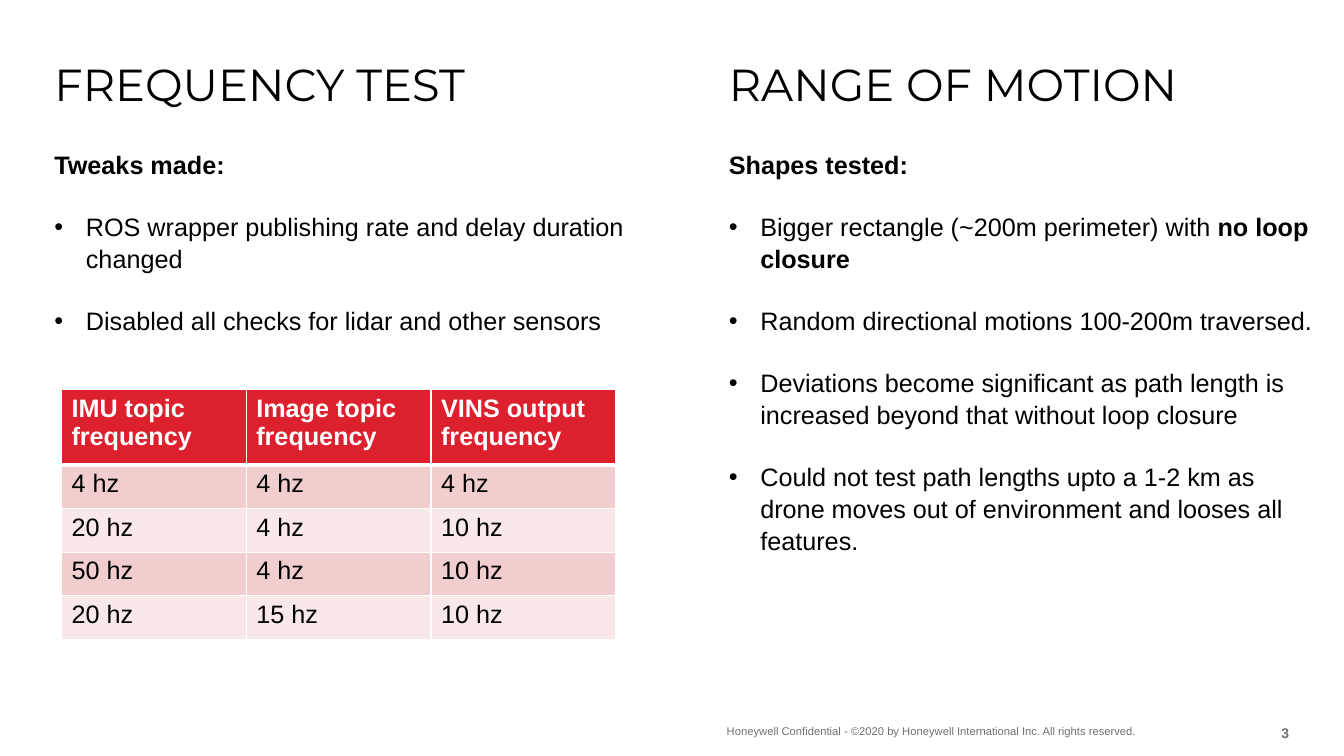
from lxml import etree
from pptx import Presentation
from pptx.dml.color import RGBColor
from pptx.enum import text
from pptx.oxml import ns
from pptx.util import Pt

COLORS = {"ink": "000000", "muted": "707070", "white": "FFFFFF",
          "header": "DC202E", "band": "F2CDCD", "light": "F9E8E8"}
BODY_SIZE = 18
LINE_SPACING = 1.05
BLANK_LINE = 21.7
BULLET_INDENT = 22.5
LEFT_X, RIGHT_X = 38.9, 520.6

TWEAKS = [
    [("ROS wrapper publishing rate and delay duration changed", False)],
    [("Disabled all checks for lidar and other sensors", False)],
]
MOTIONS = [
    [("Bigger rectangle (~200m perimeter) with ", False), ("no loop closure", True)],
    [("Random directional motions 100-200m traversed.", False)],
    [("Deviations become significant as path length is increased beyond that "
      "without loop closure", False)],
    [("Could not test path lengths upto a 1-2 km as drone moves out of environment "
      "and looses all features.", False)],
]
FREQUENCIES = [
    ("IMU topic frequency", "Image topic frequency", "VINS output frequency"),
    ("4 hz", "4 hz", "4 hz"),
    ("20 hz", "4 hz", "10 hz"),
    ("50 hz", "4 hz", "10 hz"),
    ("20 hz", "15 hz", "10 hz"),
]


def rgb(name):
    return RGBColor.from_string(COLORS[name])


def style(para, size, color="ink", bold=None, name="Arial"):
    font = para.font
    font.name, font.size, font.bold = name, Pt(size), bold
    font.color.rgb = rgb(color)


def prepare_frame(box, anchor=text.MSO_ANCHOR.TOP):
    frame = box.text_frame
    frame.margin_left = frame.margin_top = frame.margin_right = frame.margin_bottom = 0
    frame.word_wrap = True
    frame.auto_size = text.MSO_AUTO_SIZE.NONE
    frame.vertical_anchor = anchor
    return frame


def add_box(page, left, top, width, height):
    return page.shapes.add_textbox(Pt(left), Pt(top), Pt(width), Pt(height))


def write_heading(box, words):
    para = prepare_frame(box).paragraphs[0]
    para.text = words
    para.alignment = text.PP_ALIGN.LEFT
    para.line_spacing = LINE_SPACING
    style(para, 32, name="Montserrat")


def add_bullet(para):
    props = para._p.get_or_add_pPr()
    props.set("marL", str(Pt(BULLET_INDENT)))
    props.set("indent", str(-Pt(BULLET_INDENT)))
    etree.SubElement(props, ns.qn("a:buFont")).set("typeface", "Arial")
    etree.SubElement(props, ns.qn("a:buChar")).set("char", "•")


def add_points(page, left, width, height, lead, points):
    frame = prepare_frame(add_box(page, left, 105.8, width, height))
    intro = frame.paragraphs[0]
    intro.text = lead
    intro.line_spacing = LINE_SPACING
    style(intro, BODY_SIZE, bold=True)
    for point in points:
        para = frame.add_paragraph()
        para.line_spacing = LINE_SPACING
        para.space_before = Pt(BLANK_LINE)
        add_bullet(para)
        style(para, BODY_SIZE)
        for words, bold in point:
            span = para.add_run()
            span.text = words
            span.font.bold = bold


def add_footer(page, left, top, width, height, words, size, align, bold=False):
    box = add_box(page, left, top, width, height)
    para = prepare_frame(box, text.MSO_ANCHOR.BOTTOM).paragraphs[0]
    para.text = words
    para.alignment = align
    style(para, size, "muted", bold)


def set_borders(cell, widths):
    """Draw white cell edges; widths maps an edge tag to points."""
    props = cell._tc.get_or_add_tcPr()
    for place, (edge, width) in enumerate(widths.items()):
        line = etree.Element(ns.qn(f"a:{edge}"), w=str(Pt(width)))
        fill = etree.SubElement(line, ns.qn("a:solidFill"))
        etree.SubElement(fill, ns.qn("a:srgbClr")).set("val", COLORS["white"])
        props.insert(place, line)


def add_frequency_table(page):
    heights = [54] + [31.2] * (len(FREQUENCIES) - 1)
    columns = len(FREQUENCIES[0])
    table = page.shapes.add_table(len(heights), columns, Pt(43.9), Pt(278),
                                  Pt(132 * columns), Pt(sum(heights))).table
    for row, height in zip(table.rows, heights):
        row.height = Pt(height)
    for r, values in enumerate(FREQUENCIES):
        is_header = r == 0
        fill = "header" if is_header else ("light", "band")[r % 2]
        for c, value in enumerate(values):
            cell = table.cell(r, c)
            cell.text = value
            cell.fill.solid()
            cell.fill.fore_color.rgb = rgb(fill)
            style(cell.text_frame.paragraphs[0], BODY_SIZE,
                  "white" if is_header else "ink", is_header)
            set_borders(cell, {"lnL": 1, "lnR": 1, "lnT": 3 if r == 1 else 1,
                               "lnB": 3 if is_header else 1})


def main():
    deck = Presentation()
    deck.slide_width, deck.slide_height = Pt(960), Pt(540)
    page = deck.slides.add_slide(deck.slide_layouts[5])

    title = page.shapes.title
    title.left, title.top, title.width, title.height = Pt(LEFT_X), Pt(38.9), Pt(342), Pt(33)
    write_heading(title, "FREQUENCY TEST")
    add_points(page, LEFT_X, 462, 131, "Tweaks made:", TWEAKS)
    add_frequency_table(page)

    write_heading(add_box(page, RIGHT_X, 38.9, 342, 33), "RANGE OF MOTION")
    add_points(page, RIGHT_X, 420, 283.7, "Shapes tested:", MOTIONS)

    add_footer(page, 519.1, 509.8, 324, 17.3,
               "Honeywell Confidential - ©2020 by Honeywell International Inc. "
               "All rights reserved.", 8, text.PP_ALIGN.LEFT)
    add_footer(page, 882, 510.5, 38.9, 18.7, "3", 10, text.PP_ALIGN.RIGHT, True)
    deck.save("out.pptx")


if __name__ == "__main__":
    main()
